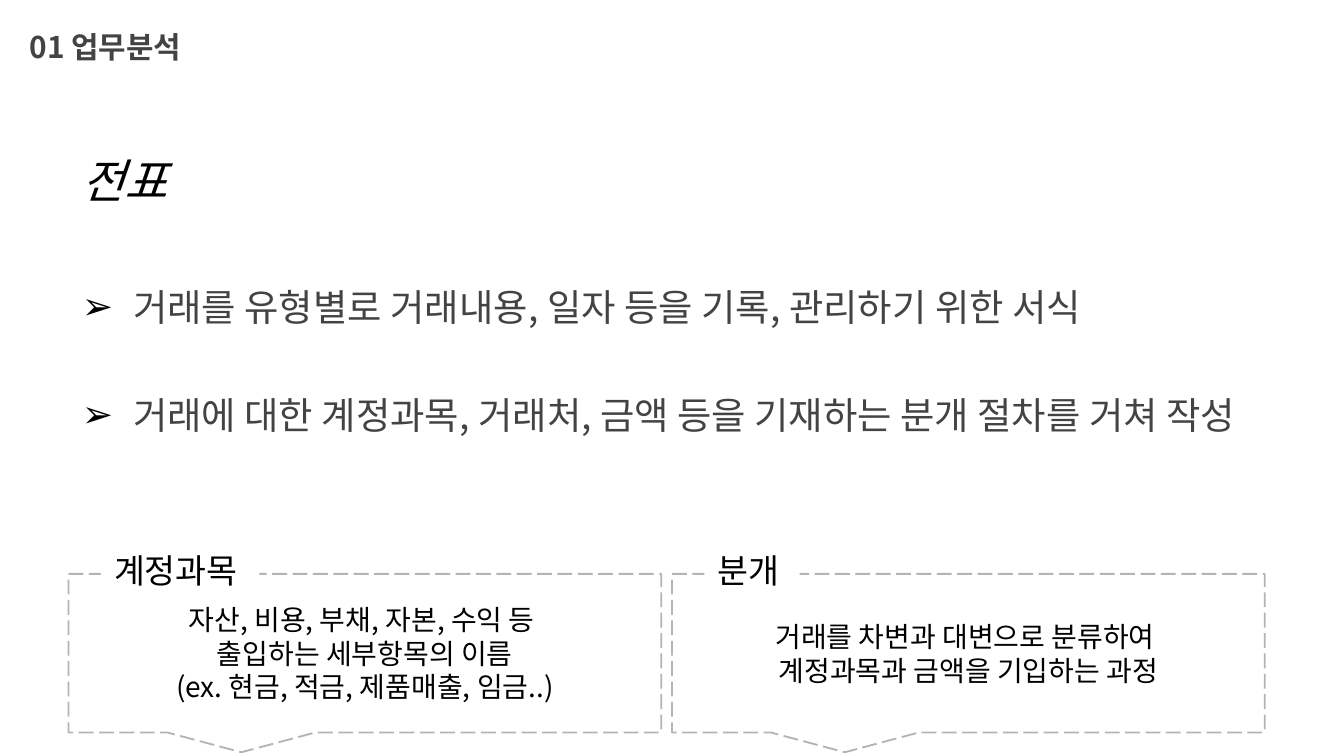
from lxml import etree
from pptx import Presentation
from pptx.dml.color import RGBColor
from pptx.enum import dml, shapes, text
from pptx.oxml import ns
from pptx.util import Inches, Pt

FONT = "Noto Sans CJK KR"
BLACK = RGBColor(0x00, 0x00, 0x00)
WHITE = RGBColor(0xFF, 0xFF, 0xFF)
DARK_GRAY = RGBColor(0x43, 0x43, 0x43)
LINE_GRAY = RGBColor(0xB4, 0xB4, 0xB4)

BULLETS = [
    # text, points of space before
    ("거래를 유형별로 거래내용, 일자 등을 기록, 관리하기 위한 서식", 36),
    ("거래에 대한 계정과목, 거래처, 금액 등을 기재하는 분개 절차를 거쳐 작성", 29),
]
CALLOUTS = [
    # left, label, label width, lines
    (5, "분개", 0.71, ["거래를 차변과 대변으로 분류하여 ",
                     "계정과목과 금액을 기입하는 과정"]),
    (0.51, "계정과목", 1.18, ["자산, 비용, 부채, 자본, 수익 등 ",
                          "출입하는 세부항목의 이름",
                          "(ex. 현금, 적금, 제품매출, 임금..)"]),
]


def write(para, words, size, color=BLACK, bold=False, italic=False,
          align=text.PP_ALIGN.LEFT, line_spacing=1.0, before=0):
    """Add unkerned text to the paragraph and format both."""
    para.alignment = align
    para.line_spacing = line_spacing
    para.space_before = Pt(before)
    span = para.add_run()
    span.text = words
    font = span.font
    font.name, font.size, font.bold, font.italic = FONT, Pt(size), bold, italic
    font.color.rgb = color
    font._element.set("kern", "0")
    east_asian = etree.SubElement(font._element, ns.qn("a:ea"))
    east_asian.set("typeface", FONT)


def set_bullet(para, char=None, indent=0):
    """Give the paragraph a black bullet with a hanging indent, or none."""
    props = para._p.get_or_add_pPr()
    props.set("marL", str(Inches(indent)))
    props.set("indent", str(-Inches(indent)))
    if char is None:
        etree.SubElement(props, ns.qn("a:buNone"))
        return
    color = etree.SubElement(props, ns.qn("a:buClr"))
    etree.SubElement(color, ns.qn("a:srgbClr")).set("val", str(BLACK))
    etree.SubElement(props, ns.qn("a:buChar")).set("char", char)


def place(shape, left, top, width, height):
    shape.left, shape.top = Inches(left), Inches(top)
    shape.width, shape.height = Inches(width), Inches(height)


def prepare_frame(shape, anchor):
    frame = shape.text_frame
    frame.word_wrap = True
    frame.auto_size = text.MSO_AUTO_SIZE.NONE
    frame.vertical_anchor = anchor
    return frame


def fill_title(title, box):
    place(title, *box)
    frame = prepare_frame(title, text.MSO_ANCHOR.MIDDLE)
    frame.margin_top = frame.margin_bottom = Inches(0.1)
    write(frame.paragraphs[0], "01 업무분석", 16, DARK_GRAY, bold=True)


def fill_body(body, box):
    place(body, *box)
    frame = prepare_frame(body, text.MSO_ANCHOR.TOP)
    heading = frame.paragraphs[0]
    set_bullet(heading)
    write(heading, "전표", 25, italic=True, line_spacing=1.2)
    for words, before in BULLETS:
        para = frame.add_paragraph()
        set_bullet(para, "➢", 0.38)
        write(para, words, 20, DARK_GRAY, line_spacing=1.2, before=before)


def add_callout(page, box, label, label_width, lines):
    """Dashed callout whose label covers part of its top edge."""
    left, top, width, height = box
    callout = page.shapes.add_shape(
        shapes.MSO_SHAPE.RECTANGULAR_CALLOUT, *map(Inches, box))
    callout.shadow.inherit = False
    callout.fill.background()
    callout.line.color.rgb = LINE_GRAY
    callout.line.width = Pt(1)
    callout.line.dash_style = dml.MSO_LINE.LONG_DASH
    frame = prepare_frame(callout, text.MSO_ANCHOR.MIDDLE)
    for index, words in enumerate(lines):
        para = frame.add_paragraph() if index else frame.paragraphs[0]
        write(para, words, 15, align=text.PP_ALIGN.CENTER)

    label_box = (left + 0.24, top - 0.2, label_width, 0.34)
    tag = page.shapes.add_shape(
        shapes.MSO_SHAPE.RECTANGLE, *map(Inches, label_box))
    tag.shadow.inherit = False
    tag.fill.solid()
    tag.fill.fore_color.rgb = WHITE
    tag.line.fill.background()
    frame = prepare_frame(tag, text.MSO_ANCHOR.MIDDLE)
    write(frame.paragraphs[0], label, 18)


def main():
    deck = Presentation()
    deck.slide_width = Inches(10)
    deck.slide_height = deck.slide_width * 9 // 16
    page = deck.slides.add_slide(deck.slide_layouts[1])
    fill_title(page.shapes.title, (0.12, 0.11, 2.36, 0.47))
    fill_body(page.placeholders[1], (0.51, 1, 9.13, 3.52))
    for left, label, label_width, lines in CALLOUTS:
        add_callout(page, (left, 4.27, 4.41, 1.18), label, label_width, lines)
    deck.save("out.pptx")


if __name__ == "__main__":
    main()
